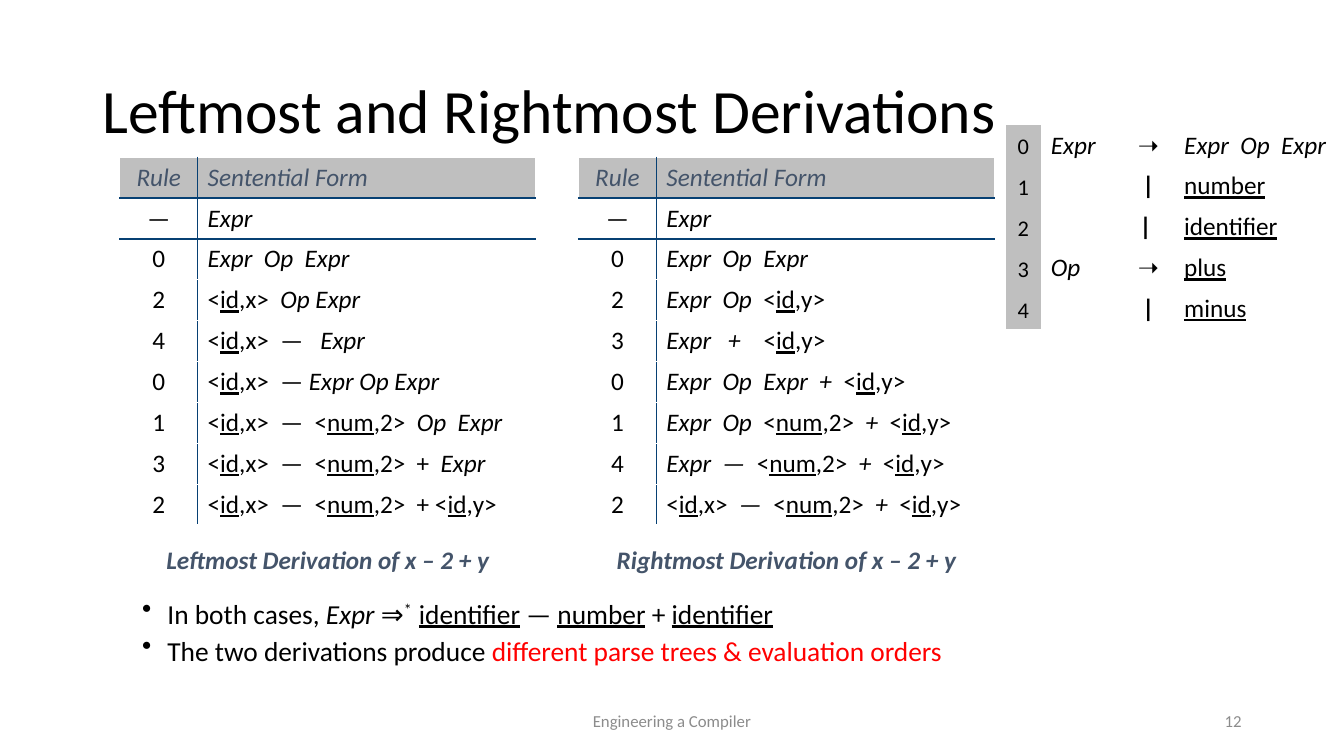
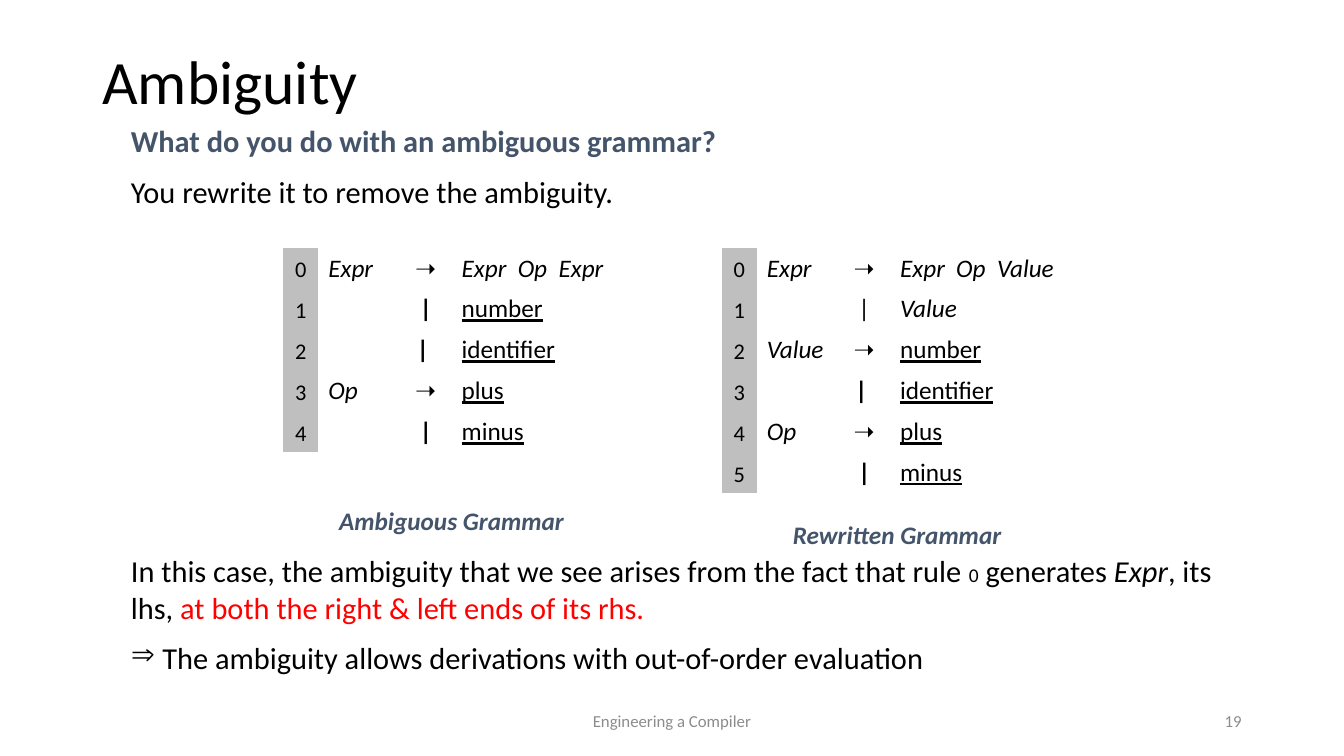
from lxml import etree
from pptx import Presentation
from pptx.dml.color import RGBColor
from pptx.enum.text import MSO_ANCHOR, PP_ALIGN
from pptx.oxml.ns import qn
from pptx.util import Cm, Pt

LEFT, CENTER, RIGHT = PP_ALIGN.LEFT, PP_ALIGN.CENTER, PP_ALIGN.RIGHT
TOP, MIDDLE, BOTTOM = MSO_ANCHOR.TOP, MSO_ANCHOR.MIDDLE, MSO_ANCHOR.BOTTOM

BLACK = RGBColor(0x00, 0x00, 0x00)
SLATE = RGBColor(0x44, 0x54, 0x6A)
NAVY = RGBColor(0x07, 0x40, 0x73)
GRAY = RGBColor(0xBF, 0xBF, 0xBF)
FOOTER_GRAY = RGBColor(0x8C, 0x8C, 0x8C)
RED = RGBColor(0xFF, 0x00, 0x00)
WHITE = RGBColor(0xFF, 0xFF, 0xFF)

FONT = "Calibri"
PLAIN_TABLE = "{2D5ABB26-0587-4C30-8999-92F81FD0307C}"
ROW_HEIGHT = 1.03
MARKS = "/_^~`"  # italic, underline, superscript, red, small

AMBIGUOUS = [
    ("/Expr/", "➝", "/Expr  Op  Expr/"),
    ("", "|", "_number_"),
    ("", "| ", "_identifier_"),
    ("/Op/", "➝", "_plus_"),
    ("", "|", "_minus_"),
]
REWRITTEN = [
    ("/Expr/", "➝", "/Expr  Op  Value/"),
    ("", "|", "/Value/"),
    ("/Value/", "➝", "_number_"),
    ("", "| ", "_identifier_"),
    ("/Op/", "➝", "_plus_"),
    ("", "|", "_minus_"),
]
LEFTMOST = [
    ("—", "/Expr/"),
    ("0", "/Expr  Op  Expr/"),
    ("2", "<_id_,x>  /Op Expr/"),
    ("4", "<_id_,x>  —   /Expr/"),
    ("0", "<_id_,x>  — /Expr Op Expr/"),
    ("1", "<_id_,x>  —  <_num_,2>  /Op  Expr/"),
    ("3", "<_id_,x>  —  <_num_,2>  +/  Expr/"),
    ("2", "<_id_,x>  —  <_num_,2>  + <_id_,y>"),
]
RIGHTMOST = [
    ("—", "/Expr/"),
    ("0", "/Expr  Op  Expr/"),
    ("2", "/Expr  Op  /<_id_,y>"),
    ("3", "/Expr   +    /<_id_,y>"),
    ("0", "/Expr  Op  Expr  +  /<_id_,y>"),
    ("1", "/Expr  Op  /<_num_,2>/  +  /<_id_,y>"),
    ("4", "/Expr  —  /<_num_,2>/  +  /<_id_,y>"),
    ("2", "<_id_,x>/  —  /<_num_,2>/  +  /<_id_,y>"),
]


def split_marks(text):
    """Yield each piece of text with the set of marks active on it."""
    active, piece = frozenset(), ""
    for letter in text:
        if letter in MARKS:
            if piece:
                yield piece, active
            active, piece = active ^ {letter}, ""
        else:
            piece += letter
    if piece:
        yield piece, active


def write(para, text, size=18, color=BLACK, bold=False, italic=False,
          align=LEFT, line=None, before=0, bullet=None, indent=0):
    """Fill a paragraph with marked-up text."""
    para.alignment = align
    para.space_before = Pt(before)
    if line:
        para.line_spacing = line
    if bullet:
        props = para._p.get_or_add_pPr()
        props.set("marL", str(Cm(indent)))
        props.set("indent", str(-Cm(indent)))
        etree.SubElement(props, qn("a:buChar")).set("char", bullet)
    for piece, marks in split_marks(text):
        span = para.add_run()
        span.text = piece
        font = span.font
        font.name = FONT
        font.size = Pt(round(size * 0.64, 1) if "`" in marks else size)
        font.bold = bold
        font.italic = italic or "/" in marks
        font.underline = "_" in marks
        font.color.rgb = RED if "~" in marks else color
        if "^" in marks:
            span._r.get_or_add_rPr().set("baseline", "30000")


def add_text(page, left, top, width, height, paras, anchor=TOP, **shared):
    """Place a text box; paras is a list of (text, format) pairs."""
    box = page.shapes.add_textbox(Cm(left), Cm(top), Cm(width), Cm(height))
    frame = box.text_frame
    frame.word_wrap = True
    frame.vertical_anchor = anchor
    for index, (text, style) in enumerate(paras):
        para = frame.add_paragraph() if index else frame.paragraphs[0]
        write(para, text, **shared, **style)


def add_plain_table(page, left, top, widths, row_count):
    """Place a table without any built-in style."""
    table = page.shapes.add_table(
        row_count, len(widths), Cm(left), Cm(top),
        Cm(sum(widths)), Cm(ROW_HEIGHT * row_count)).table
    table.first_row = table.horz_banding = False
    table._tbl.tblPr.find(qn("a:tableStyleId")).text = PLAIN_TABLE
    for column, width in zip(table.columns, widths):
        column.width = Cm(width)
    return table


def fill_cell(cell, text, fill=None, anchor=TOP, **style):
    cell.vertical_anchor = anchor
    if fill is None:
        cell.fill.background()
    else:
        cell.fill.solid()
        cell.fill.fore_color.rgb = fill
    write(cell.text_frame.paragraphs[0], text, **style)


def set_borders(cell, left, right, top, bottom):
    """Draw the four borders, each a (colour, points) pair."""
    props = cell._tc.get_or_add_tcPr()
    edges = zip(("a:lnL", "a:lnR", "a:lnT", "a:lnB"), (left, right, top, bottom))
    for position, (tag, (color, points)) in enumerate(edges):
        edge = etree.Element(qn(tag), w=str(Pt(points)))
        solid = etree.SubElement(edge, qn("a:solidFill"))
        etree.SubElement(solid, qn("a:srgbClr")).set("val", str(color))
        props.insert(position, edge)


def add_derivation(page, left, top, steps, caption):
    """Rule and sentential form table with a caption row below."""
    rows = [("Rule", "Sentential Form")] + steps
    table = add_plain_table(page, left, top, (1.96, 8.52), len(rows) + 1)
    blank, rule, divider = (WHITE, 1), (NAVY, 1.5), (NAVY, 1)
    for index, row in enumerate(rows):
        header = index == 0
        above = rule if index in (1, 2) else blank
        below = rule if index in (0, 1) else blank
        for column, text in enumerate(row):
            cell = table.cell(index, column)
            fill_cell(cell, text, fill=GRAY if header else None,
                      color=SLATE if header else BLACK, italic=header,
                      align=LEFT if column else CENTER)
            sides = (divider, blank) if column else (blank, divider)
            set_borders(cell, *sides, above, below)
    last = len(rows)
    table.cell(last, 0).merge(table.cell(last, 1))
    fill_cell(table.cell(last, 0), caption, color=SLATE, bold=True,
              italic=True, align=CENTER, line=1.5)


def add_grammar(page, left, top, rules, light_rows=()):
    """Numbered production rules; the bar is not bold in light rows."""
    table = add_plain_table(page, left, top, (0.88, 2.06, 1.3, 4.62), len(rules))
    for index, (symbol, sign, result) in enumerate(rules):
        cells = table.rows[index].cells
        fill_cell(cells[0], str(index), fill=GRAY, anchor=BOTTOM, size=16,
                  align=CENTER)
        fill_cell(cells[1], symbol)
        fill_cell(cells[2], sign, bold=index not in light_rows, align=CENTER)
        fill_cell(cells[3], result)


def add_page(deck, title, title_top, number):
    """Blank page with the shared title and footer."""
    page = deck.slides.add_slide(deck.slide_layouts[6])
    add_text(page, 2.33, title_top, 29.21, 3.68, [(title, {})],
             anchor=MIDDLE, size=44, line=0.9)
    for left, width, text, align in (
            (11.22, 11.43, "Engineering a Compiler", CENTER),
            (23.92, 7.62, str(number), RIGHT)):
        add_text(page, left, 17.65, width, 1.01, [(text, {})],
                 anchor=MIDDLE, size=12, color=FOOTER_GRAY, align=align)
    return page


def build_derivations(deck):
    page = add_page(deck, "Leftmost and Rightmost Derivations", 1.01, 12)
    add_derivation(page, 3.02, 3.96, LEFTMOST, "Leftmost Derivation of x – 2 + y")
    add_derivation(page, 14.58, 3.96, RIGHTMOST, "Rightmost Derivation of x – 2 + y")
    add_grammar(page, 25.35, 3.15, AMBIGUOUS)
    add_text(page, 3.33, 15.14, 21.72, 2.39, [
        ("In both cases, /Expr /⇒^*  ^_identifier_ — _number_ + _identifier_", {}),
        ("The two derivations produce ~different parse trees & evaluation orders~", {}),
    ], size=19.6, line=0.7, before=10, bullet="•", indent=0.64)


def build_ambiguity(deck):
    page = add_page(deck, "Ambiguity", 0.28, 19)
    add_text(page, 3.05, 3.2, 28.07, 14.1, [
        ("What do you do with an ambiguous grammar?",
         dict(color=SLATE, bold=True, line=0.7, before=10)),
        ("You rewrite it to remove the ambiguity.", dict(line=0.7, before=18)),
        ("In this case, the ambiguity that we see arises from the fact that rule "
         "`0` generates /Expr/, its lhs, "
         "~at both the right & left ends of its rhs.~", dict(before=246)),
        ("The ambiguity allows derivations with out-of-order evaluation",
         dict(before=10, bullet="⇒", indent=0.79)),
    ], size=21.7)
    add_grammar(page, 7.14, 6.25, AMBIGUOUS)
    add_grammar(page, 18.19, 6.25, REWRITTEN, light_rows=(1,))
    for left, top, caption in ((7.19, 12.6, "Ambiguous Grammar"),
                               (18.42, 12.95, "Rewritten Grammar")):
        add_text(page, left, top, 8.38, 1.02, [(caption, {})],
                 color=SLATE, bold=True, italic=True, align=CENTER)


def main():
    deck = Presentation()
    deck.slide_width, deck.slide_height = Cm(33.87), Cm(19.05)
    build_derivations(deck)
    build_ambiguity(deck)
    deck.save("out.pptx")


if __name__ == "__main__":
    main()
